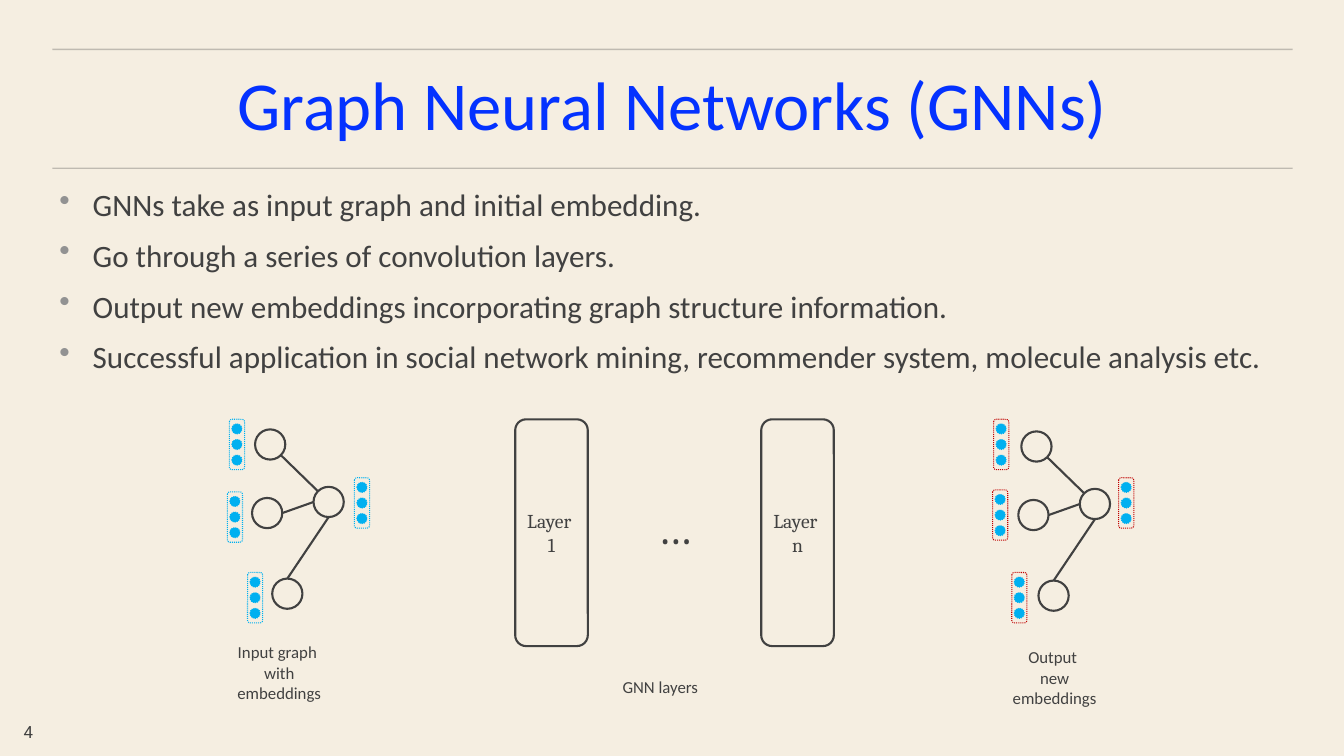
from dataclasses import dataclass
from math import cos, radians, sin

from lxml.etree import SubElement
from pptx import Presentation
from pptx.dml.color import RGBColor
from pptx.enum.dml import MSO_LINE_DASH_STYLE as Dash
from pptx.enum.shapes import MSO_CONNECTOR, MSO_SHAPE as Preset
from pptx.enum.text import MSO_ANCHOR as Anchor, PP_ALIGN as Align
from pptx.oxml.ns import qn
from pptx.shapes.autoshape import Shape
from pptx.shapes.connector import Connector
from pptx.shapes.shapetree import GroupShapes, SlideShapes
from pptx.text.text import TextFrame
from pptx.util import Inches, Length, Pt

COLORS = {
    "paper": "F5EEE1", "title": "0432FF", "ink": "414141", "rule": "444444",
    "bullet": "929292", "input": "00B0F0", "output": "C00000",
}
CELL = 0.1  # inches; columns and rows of the grid are equal
NODE_RADIUS = 1.5
DOT_SIZE, DOT_PITCH = 1, 1.55
VECTOR_WIDTH, VECTOR_HEIGHT = 1.5, 5
INSET = 0.6

Canvas = SlideShapes | GroupShapes
Point = tuple[float, float]


@dataclass(frozen=True)
class Area:
    """A rectangle in columns and rows of the grid."""
    left: float
    top: float
    width: float
    height: float


@dataclass(frozen=True)
class TextStyle:
    size: float
    font: str = "Calibri"
    color: str = "ink"
    align: Align = Align.CENTER
    line_spacing: float | None = None
    space_before: float = 0


@dataclass(frozen=True)
class Edge:
    """Joins a node to the hub; angles run clockwise from the right."""
    node: int
    node_angle: float
    hub_angle: float


@dataclass(frozen=True)
class Graph:
    origin: Point
    vectors: tuple[Point, ...]
    frame_color: str
    caption: str
    caption_area: Area


@dataclass(frozen=True)
class Layer:
    label: str
    left: float


HUB = (7.3, 7.2)
NODES = ((1.5, 1.5), (1.2, 8.3), (3.2, 16.3), HUB)
EDGES = (Edge(0, 45, 225), Edge(1, 0, 180), Edge(2, 270, 90))
GRAPHS = (
    Graph((25.3, 42.6), ((23.5, 44.1), (23.3, 51.3), (25.3, 59.3), (35.9, 49.9)),
          "input", "Input graph \nwith embeddings", Area(22.6, 64.1, 10.2, 5.2)),
    Graph((101.3, 42.8), ((99.3, 44.1), (99.2, 51.1), (101.1, 59.3), (111.7, 49.9)),
          "output", "Output \nnew embeddings", Area(99.5, 64.6, 10.2, 5.2)),
)
LAYERS = (Layer("Layer \n1", 51.1), Layer("Layer \nn", 75.5))
POINTS = (
    "GNNs take as input graph and initial embedding.",
    "Go through a series of convolution layers.",
    "Output new embeddings incorporating graph structure information.",
    "Successful application in social network mining, recommender system, "
    "molecule analysis etc.",
)

CAPTION = TextStyle(12)
LAYER_LABEL = TextStyle(14, "Cambria")


def grid(cells: float) -> Length:
    return Inches(cells * CELL)


def rgb(name: str) -> RGBColor:
    return RGBColor.from_string(COLORS[name])


def write(frame: TextFrame, words: str, style: TextStyle, wrap: bool = True) -> None:
    frame.word_wrap = wrap
    frame.vertical_anchor = Anchor.MIDDLE
    frame.margin_left = frame.margin_right = grid(INSET)
    frame.margin_top = frame.margin_bottom = grid(INSET)
    frame.text = words
    for index, paragraph in enumerate(frame.paragraphs):
        paragraph.alignment = style.align
        if style.line_spacing:
            paragraph.line_spacing = style.line_spacing
        if index and style.space_before:
            paragraph.space_before = Pt(style.space_before)
        for run in paragraph.runs:
            run.font.size = Pt(style.size)
            run.font.name = style.font
            run.font.color.rgb = rgb(style.color)


def add_text(canvas: Canvas, area: Area, words: str, style: TextStyle,
             wrap: bool = True) -> TextFrame:
    box = canvas.add_textbox(grid(area.left), grid(area.top),
                             grid(area.width), grid(area.height))
    write(box.text_frame, words, style, wrap)
    return box.text_frame


def add_bullets(frame: TextFrame) -> None:
    for paragraph in frame.paragraphs:
        properties = paragraph._p.get_or_add_pPr()
        properties.set("marL", str(Inches(0.33)))
        properties.set("indent", str(-Inches(0.33)))
        bullet_color = SubElement(properties, qn("a:buClr"))
        SubElement(bullet_color, qn("a:srgbClr")).set("val", COLORS["bullet"])
        SubElement(properties, qn("a:buChar")).set("char", "•")


def add_line(canvas: Canvas, start: Point, end: Point, color: str, weight: float) -> Connector:
    line = canvas.add_connector(MSO_CONNECTOR.STRAIGHT, *map(grid, start + end))
    line.line.color.rgb = rgb(color)
    line.line.width = Pt(weight)
    SubElement(line._element.spPr, qn("a:effectLst"))
    return line


def add_rule(canvas: Canvas, row: float) -> None:
    """Draws a faint line across the slide."""
    rule = add_line(canvas, (5.2, row), (128.2, row), "rule", 1)
    shade = next(rule._element.iter(qn("a:srgbClr")))
    SubElement(shade, qn("a:alpha")).set("val", "30000")


def add_outline(canvas: Canvas, preset: Preset, center: Point, width: float, height: float,
                color: str = "ink", weight: float = 1.5) -> Shape:
    x, y = center
    shape = canvas.add_shape(preset, grid(x - width / 2), grid(y - height / 2),
                             grid(width), grid(height))
    shape.shadow.inherit = False
    shape.fill.background()
    shape.line.color.rgb = rgb(color)
    shape.line.width = Pt(weight)
    return shape


def add_vector(canvas: Canvas, center: Point, frame_color: str) -> None:
    """Draws an embedding: three dots in a dotted frame."""
    x, y = center
    for step in (-1, 0, 1):
        dot = add_outline(canvas, Preset.OVAL, (x, y + step * DOT_PITCH),
                          DOT_SIZE, DOT_SIZE, "input", 0.75)
        dot.fill.solid()
        dot.fill.fore_color.rgb = rgb("input")
        dot.line.dash_style = Dash.ROUND_DOT
    frame = add_outline(canvas, Preset.ROUNDED_RECTANGLE, center,
                        VECTOR_WIDTH, VECTOR_HEIGHT, frame_color, 0.75)
    frame.line.dash_style = Dash.ROUND_DOT


def rim(center: Point, angle: float) -> Point:
    turn = radians(angle)
    return center[0] + NODE_RADIUS * cos(turn), center[1] + NODE_RADIUS * sin(turn)


def add_graph(slide_shapes: SlideShapes, graph: Graph) -> None:
    canvas = slide_shapes.add_group_shape().shapes
    left, top = graph.origin
    centers = [(left + x, top + y) for x, y in NODES]
    for center in centers:
        add_outline(canvas, Preset.OVAL, center, 2 * NODE_RADIUS, 2 * NODE_RADIUS)
    for edge in EDGES:
        add_line(canvas, rim(centers[edge.node], edge.node_angle),
                 rim(centers[-1], edge.hub_angle), "ink", 1.5)
    for vector in graph.vectors:
        add_vector(canvas, vector, graph.frame_color)
    add_text(canvas, graph.caption_area, graph.caption, CAPTION)


def add_layers(slide_shapes: SlideShapes) -> None:
    canvas = slide_shapes.add_group_shape().shapes
    for layer in LAYERS:
        block = add_outline(canvas, Preset.ROUNDED_RECTANGLE,
                            (layer.left + 3.6, 52.85), 7.2, 22.5)
        block.adjustments[0] = 0.15
        write(block.text_frame, layer.label, LAYER_LABEL, wrap=False)
    add_text(canvas, Area(64.1, 49, 5.6, 6.5), "…", TextStyle(32, "Cambria"), wrap=False)
    add_text(canvas, Area(60.8, 66.6, 9.4, 3.1), "GNN layers", CAPTION, wrap=False)


def main() -> None:
    deck = Presentation()
    deck.slide_width, deck.slide_height = Inches(13.33), Inches(7.5)
    slide = deck.slides.add_slide(deck.slide_layouts[6])
    slide.background.fill.solid()
    slide.background.fill.fore_color.rgb = rgb("paper")
    shapes = slide.shapes

    for row in (16.7, 4.9):
        add_rule(shapes, row)
    add_text(shapes, Area(5.2, 6.2, 122.9, 9.1), "Graph Neural Networks (GNNs)",
             TextStyle(49, color="title", line_spacing=0.9))
    add_text(shapes, Area(0.4, 71.2, 4.8, 2.8), "4", TextStyle(12, "Roboto"))
    add_layers(shapes)
    add_bullets(add_text(shapes, Area(5.3, 18, 122.9, 20.3), "\n".join(POINTS),
                         TextStyle(22.2, align=Align.LEFT, line_spacing=0.8, space_before=15)))
    for graph in GRAPHS:
        add_graph(shapes, graph)
    deck.save("out.pptx")


if __name__ == "__main__":
    main()
